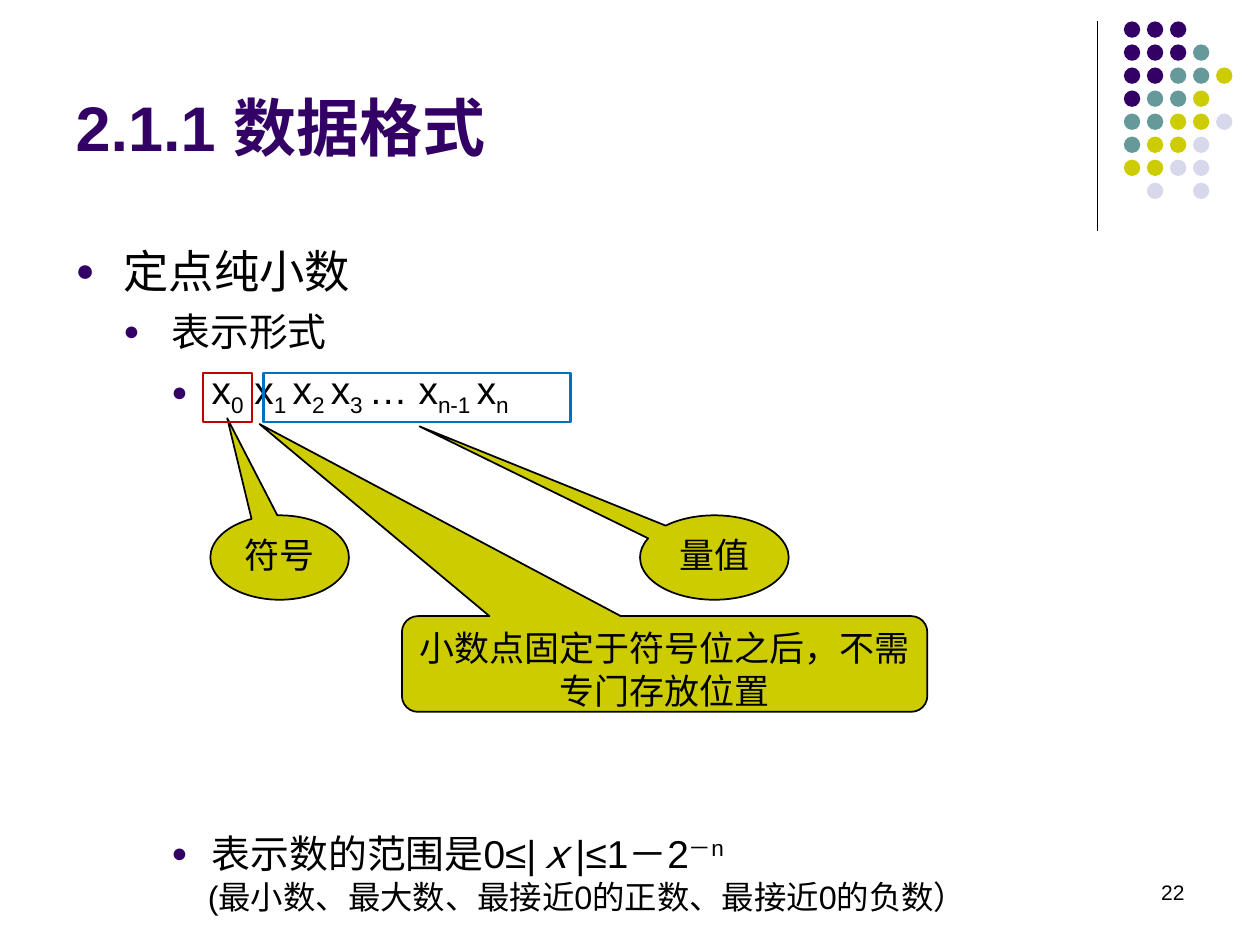
from dataclasses import dataclass

from lxml import etree
from pptx import Presentation
from pptx.dml.color import RGBColor
from pptx.enum.shapes import MSO_CONNECTOR, MSO_SHAPE
from pptx.enum.text import MSO_ANCHOR, MSO_AUTO_SIZE, PP_ALIGN
from pptx.oxml.ns import qn
from pptx.util import Inches, Pt

DOT, RECT = MSO_SHAPE.OVAL, MSO_SHAPE.RECTANGLE
OVAL_CALL = MSO_SHAPE.OVAL_CALLOUT
ROUND_CALL = MSO_SHAPE.ROUNDED_RECTANGULAR_CALLOUT
STRAIGHT = MSO_CONNECTOR.STRAIGHT
TOP, MIDDLE = MSO_ANCHOR.TOP, MSO_ANCHOR.MIDDLE
LEFT, CENTER, RIGHT = PP_ALIGN.LEFT, PP_ALIGN.CENTER, PP_ALIGN.RIGHT
NO_FIT = MSO_AUTO_SIZE.NONE


@dataclass(frozen=True)
class Theme:
    sans: str = "Arial"
    serif: str = "Times New Roman"
    ink: str = "000000"
    purple: str = "330066"
    teal: str = "669999"
    lime: str = "CCCC00"
    pale: str = "D8D8EC"
    red: str = "C00000"
    blue: str = "0070C0"
    title: float = 36
    head: float = 25.9
    text: float = 22.2
    call: float = 20
    note: float = 18.5
    page: float = 12


THEME = Theme()
DOTS = ["PPP", "PPPT", "PPTTY", "PTTY", "TTYYL", "TYYL", "YYLL", " L L"]
HUES = {"P": THEME.purple, "T": THEME.teal, "Y": THEME.lime, "L": THEME.pale}
SUB, SUP = -25000, 30000

DIGITS = [("x", 0), ("0", SUB), (" x", 0), ("1 ", SUB), ("x", 0), ("2 ", SUB),
          ("x", 0), ("3 ", SUB), ("… x", 0), ("n-1 ", SUB), ("x", 0), ("n", SUB)]
RANGE = [("表示数的范围是0≤|", 0), ("ｘ", 0, True), ("|", 0), ("≤", 0, True),
         ("1－2", 0), ("－n", SUP)]
# runs, level, left margin, hanging indent, space before, type size, line spacing
LINES = [
    ([("定点纯小数", 0)], 0, 0.38, 0.38, 0, THEME.head, 1),
    ([("表示形式", 0)], 1, 0.76, 0.38, 6, THEME.text, 1),
    (DIGITS, 2, 1.08, 0.32, 6, THEME.text, 1),
    (RANGE, 2, 1.08, 0.32, 235, THEME.text, 1),
    ([("(最小数、最大数、最接近0的正数、最接近0的负数）", 0)],
     2, 1.05, 0, 5, THEME.note, 0.8),
]
CALLS = [
    (OVAL_CALL, (1.67, 4.09, 1.1, 0.67), (-0.378, -1.65), "符号"),
    (OVAL_CALL, (5.08, 4.09, 1.18, 0.67), (-1.984, -1.554), "量值"),
    (ROUND_CALL, (3.19, 4.89, 4.17, 0.76), (-0.771, -2.506, 0.167),
     "小数点固定于符号位之后，不需专门存放位置"),
]


class Deck:
    def __init__(self, theme):
        self.theme = theme
        self.prs = Presentation()
        self.prs.slide_width, self.prs.slide_height = Inches(10), Inches(7.5)
        self.slide = self.prs.slides.add_slide(self.prs.slide_layouts[1])

    def font(self, para, size, color, face=None, bold=False):
        font = para.font
        font.name, font.size, font.bold = face or self.theme.sans, Pt(size), bold
        font.color.rgb = RGBColor.from_string(color)

    def place(self, shape, box):
        shape.left, shape.top, shape.width, shape.height = map(Inches, box)

    def frame(self, shape, anchor):
        frame = shape.text_frame
        frame.word_wrap, frame.auto_size = True, NO_FIT
        frame.vertical_anchor = anchor
        return frame

    def title(self, text, box):
        shape = self.slide.shapes.title
        self.place(shape, box)
        para = self.frame(shape, MIDDLE).paragraphs[0]
        para.text, para.alignment = text, LEFT
        self.font(para, self.theme.title, self.theme.purple, bold=True)

    def bullet(self, para, left, hang):
        """Set the indents, and a round bullet when the line hangs."""
        props = para._p.get_or_add_pPr()
        props.set("marL", str(Inches(left)))
        props.set("indent", str(-Inches(hang)))
        if not hang:
            etree.SubElement(props, qn("a:buNone"))
            return
        color = etree.SubElement(props, qn("a:buClr"))
        etree.SubElement(color, qn("a:srgbClr"), val=self.theme.purple)
        etree.SubElement(props, qn("a:buSzPct"), val="70000")
        etree.SubElement(props, qn("a:buFont"), typeface=self.theme.sans)
        etree.SubElement(props, qn("a:buChar"), char="●")

    def run(self, para, text, base, slant=False):
        run = para.add_run()
        run.text = text
        if slant:
            run.font.italic = True
        if base:
            run.font._element.set("baseline", str(base))

    def body(self, lines, box):
        shape = self.slide.placeholders[1]
        self.place(shape, box)
        frame = self.frame(shape, TOP)
        for i, (runs, level, left, hang, before, size, pitch) in enumerate(lines):
            para = frame.add_paragraph() if i else frame.paragraphs[0]
            para.level = level
            self.bullet(para, left, hang)
            para.space_before, para.line_spacing = Pt(before), pitch
            self.font(para, size, self.theme.ink)
            for run in runs:
                self.run(para, *run)

    def label(self, text, box):
        shape = self.slide.shapes.add_textbox(*map(Inches, box))
        para = self.frame(shape, MIDDLE).paragraphs[0]
        para.text, para.alignment = text, RIGHT
        self.font(para, self.theme.page, self.theme.ink)

    def shape(self, kind, box, fill=None, line=None, width=1):
        shape = self.slide.shapes.add_shape(kind, *map(Inches, box))
        shape.shadow.inherit = False
        if fill:
            shape.fill.solid()
            shape.fill.fore_color.rgb = RGBColor.from_string(fill)
        else:
            shape.fill.background()
        if line:
            shape.line.color.rgb = RGBColor.from_string(line)
            shape.line.width = Pt(width)
        else:
            shape.line.fill.background()
        return shape

    def call(self, kind, box, tip, text):
        shape = self.shape(kind, box, self.theme.lime, self.theme.ink)
        for i, value in enumerate(tip):
            shape.adjustments[i] = value
        para = self.frame(shape, TOP).paragraphs[0]
        para.text, para.alignment = text, CENTER
        self.font(para, self.theme.call, self.theme.ink, self.theme.serif)

    def rule(self, x, top, end):
        line = self.slide.shapes.add_connector(
            STRAIGHT, Inches(x), Inches(top), Inches(x), Inches(end))
        line.line.color.rgb = RGBColor.from_string(self.theme.ink)
        line.line.width = Pt(0.75)
        etree.SubElement(line._element.spPr, qn("a:effectLst"))

    def dots(self, rows, left, top, step, size):
        for r, row in enumerate(rows):
            for c, key in enumerate(row):
                if key in HUES:
                    box = (left + c * step, top + r * step, size, size)
                    self.shape(DOT, box, HUES[key])


def main():
    deck = Deck(THEME)
    deck.rule(8.71, 0.17, 1.83)
    deck.dots(DOTS, 8.92, 0.17, 1.28 / 7, 0.13)
    deck.label("22", (7.17, 6.83, 2.33, 0.5))
    deck.title("2.1.1 数据格式", (0.5, 0.29, 8.18, 1.42))
    deck.body(LINES, (0.5, 1.88, 9, 4.82))
    for call in CALLS:
        deck.call(*call)
    deck.shape(RECT, (1.61, 2.96, 0.39, 0.39), line=THEME.red, width=1.5)
    deck.shape(RECT, (2.09, 2.96, 2.44, 0.39), line=THEME.blue, width=1.5)
    deck.prs.save("out.pptx")


if __name__ == "__main__":
    main()
